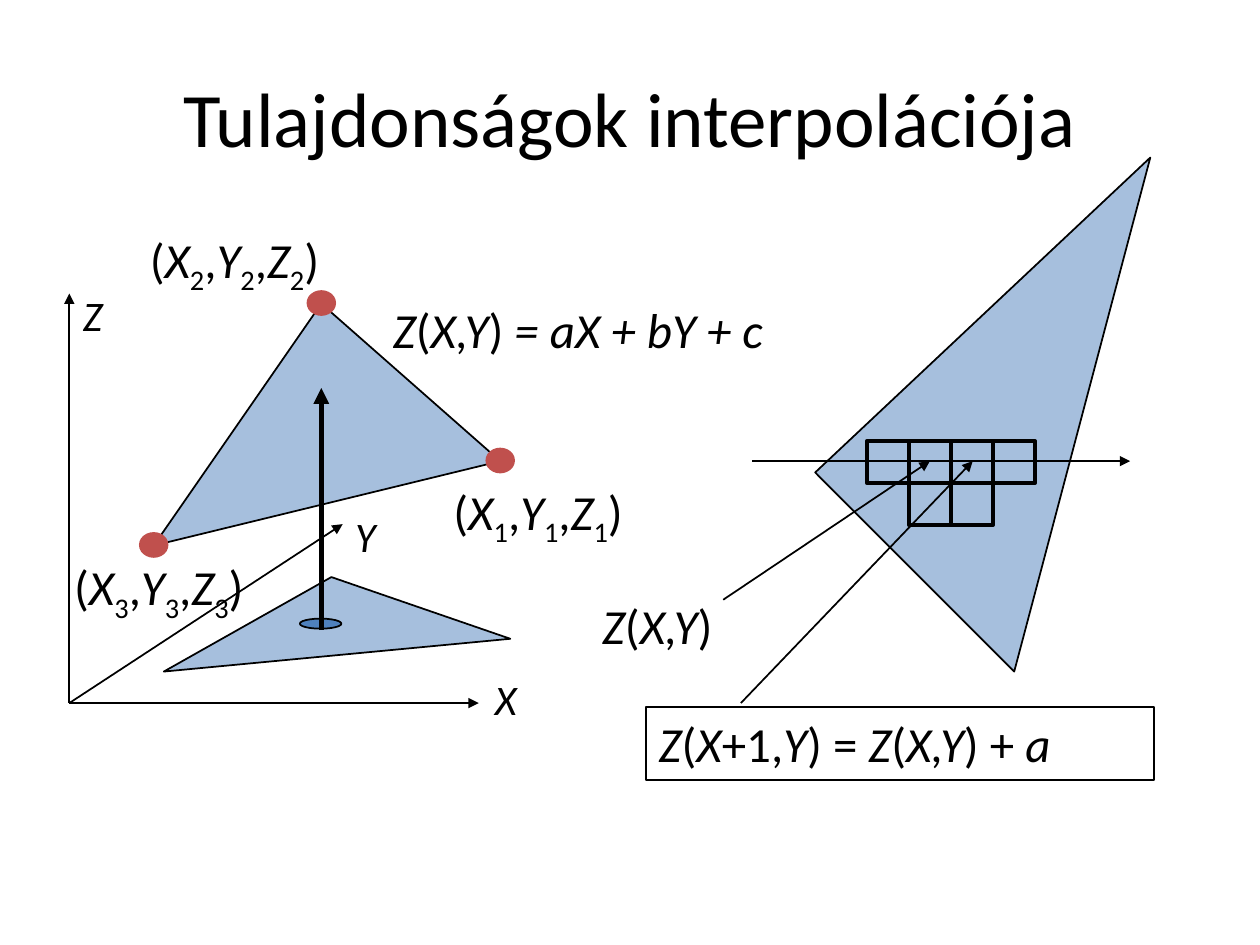
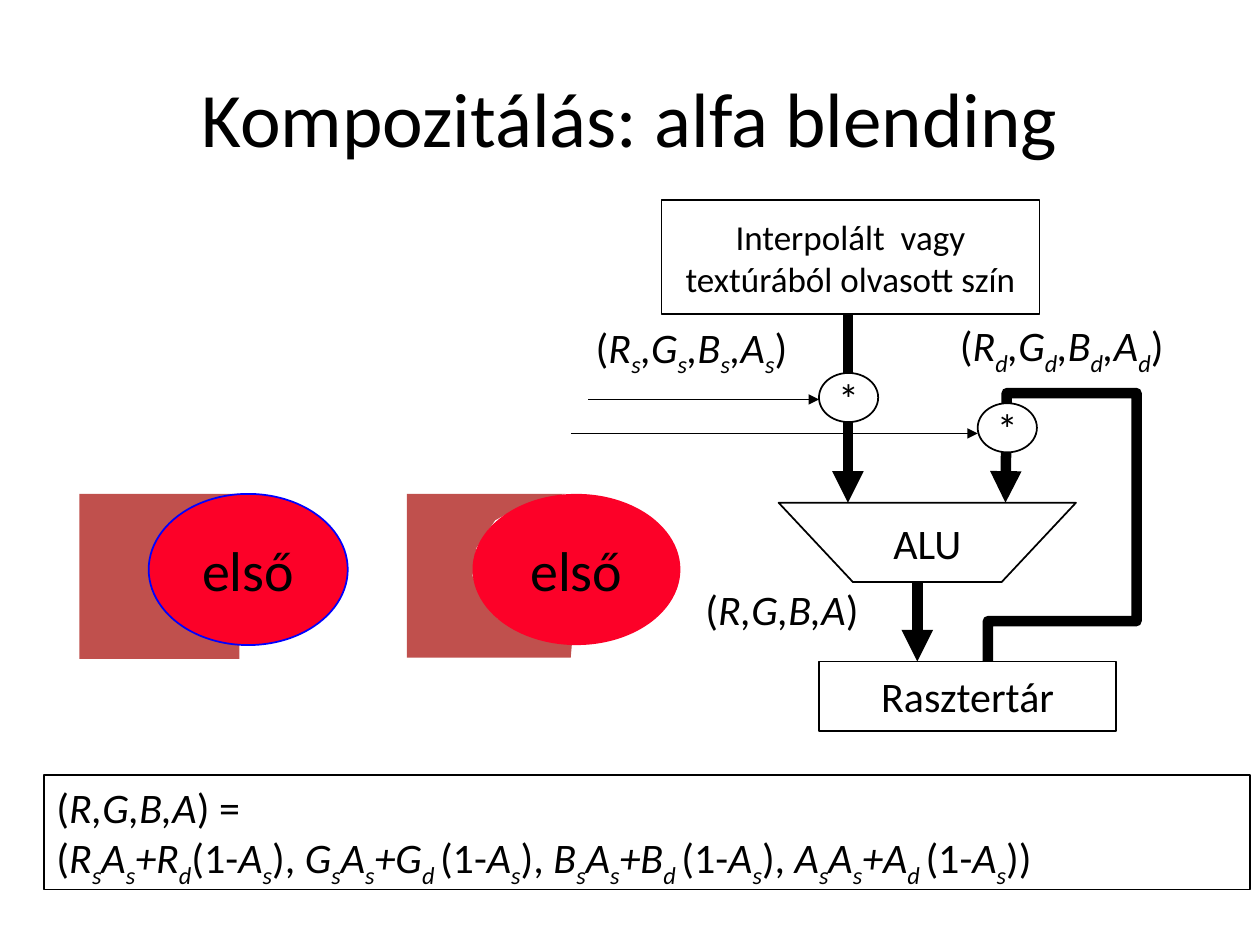
from dataclasses import dataclass
from typing import NamedTuple, Optional

from lxml import etree
from pptx import Presentation
from pptx import util as u
from pptx.dml.color import RGBColor
from pptx.enum import shapes, text
from pptx.oxml.ns import qn

KIND = shapes.MSO_SHAPE
ALIGN = text.PP_ALIGN
ANCHOR = text.MSO_ANCHOR


@dataclass(frozen=True)
class Theme:
    font: str = "Calibri"
    ink: str = "000000"
    paper: str = "FFFFFF"
    blue: str = "4F81BD"
    brick: str = "C0504D"
    red: str = "FC0128"
    edge: str = "0000FF"
    title: int = 44
    big: int = 32
    math: int = 28
    body: int = 24
    small: int = 20
    thin: float = 1
    cell: float = 2.25
    ray: float = 3
    bus: float = 6


T = Theme()


class Box(NamedTuple):
    left: float
    top: float
    width: float
    height: float


class Label(NamedTuple):
    box: Box
    body: str
    size: int


class Arrow(NamedTuple):
    start: tuple
    end: tuple
    width: float = T.thin


class Node(NamedTuple):
    kind: int
    box: Box
    body: str = ""
    size: int = T.body
    fill: Optional[str] = None
    line: Optional[str] = T.ink


# Text: "/" switches italics, "_" switches subscript
def write(shape, body: str, size: int = T.body, align=ALIGN.LEFT,
          anchor=ANCHOR.TOP, wrap: bool = False, grow: bool = False) -> None:
    frame = shape.text_frame
    frame.word_wrap = wrap
    frame.vertical_anchor = anchor
    if grow:
        frame.auto_size = text.MSO_AUTO_SIZE.SHAPE_TO_FIT_TEXT
    for num, row in enumerate(body.split("\n")):
        para = frame.add_paragraph() if num else frame.paragraphs[0]
        para.alignment = align
        for i, slant in enumerate(row.split("/")):
            for j, part in enumerate(slant.split("_")):
                if not part:
                    continue
                run = para.add_run()
                run.text = part
                font = run.font
                font.name, font.size = T.font, u.Pt(size)
                font.italic = i % 2 == 1
                font.color.rgb = RGBColor.from_string(T.ink)
                if j % 2:
                    run._r.get_or_add_rPr().set("baseline", "-25000")


def paint(shape, fill: Optional[str] = None, line: Optional[str] = T.ink,
          width: float = T.thin, alpha: int = 100) -> None:
    shape.shadow.inherit = False
    if fill:
        shape.fill.solid()
        shape.fill.fore_color.rgb = RGBColor.from_string(fill)
        if alpha < 100:
            tint = shape._element.spPr.find(qn("a:solidFill"))[0]
            etree.SubElement(tint, qn("a:alpha"), val=str(alpha * 1000))
    else:
        shape.fill.background()
    if line:
        stroke(shape, line, width)
    else:
        shape.line.fill.background()


def stroke(shape, color: str, width: float) -> None:
    shape.line.color.rgb = RGBColor.from_string(color)
    shape.line.width = u.Pt(width)


def point(shape) -> None:
    etree.SubElement(shape.line._get_or_add_ln(), qn("a:tailEnd"), type="triangle")


def place(box: Box) -> list:
    return [u.Inches(v) for v in box]


def label(slide, item: Label) -> None:
    write(slide.shapes.add_textbox(*place(item.box)), item.body, item.size, grow=True)


def node(slide, item: Node, width: float = T.thin, **form):
    shape = slide.shapes.add_shape(item.kind, *place(item.box))
    paint(shape, item.fill, item.line, width)
    if item.body:
        form = form or dict(align=ALIGN.CENTER, anchor=ANCHOR.MIDDLE)
        write(shape, item.body, item.size, **form)
    return shape


def arrow(slide, item: Arrow) -> None:
    ends = [u.Inches(v) for v in (*item.start, *item.end)]
    line = slide.shapes.add_connector(shapes.MSO_CONNECTOR.STRAIGHT, *ends)
    stroke(line, T.ink, item.width)
    point(line)
    etree.SubElement(line._element.spPr, qn("a:effectLst"))


def outline(slide, spots: list, close: bool = True, **look):
    dots = [(u.Inches(x), u.Inches(y)) for x, y in spots]
    pen = slide.shapes.build_freeform(*dots[0])
    pen.add_line_segments(dots[1:], close=close)
    shape = pen.convert_to_shape()
    paint(shape, **look)
    return shape


def start(deck, title: str):
    slide = deck.slides.add_slide(deck.slide_layouts[6])
    head = slide.shapes.add_textbox(*place(Box(0.5, 0.3, 9, 1.25)))
    write(head, title, T.title, ALIGN.CENTER, ANCHOR.MIDDLE, wrap=True)
    return slide


def interp(deck) -> None:
    slide = start(deck, "Tulajdonságok interpolációja")
    glass = dict(fill=T.blue, alpha=50)

    # Axes with their names
    origin = (0.55, 5.58)
    for end in ((3.8, 5.58), (2.72, 4.16), (0.55, 2.33)):
        arrow(slide, Arrow(origin, end))
    corners = [(1.22, 4.33), (3.97, 3.66), (2.55, 2.41)]
    outline(slide, corners, **glass)
    outline(slide, [(1.3, 5.33), (4.05, 5.07), (2.63, 4.58)], **glass)
    for name, x, y in (("X", 3.83, 5.3), ("Y", 2.72, 4), ("Z", 0.56, 2.25)):
        label(slide, Label(Box(x, y, 0.39, 0.5), f"/{name}/", T.body))

    # Lifting a ground point to the plane
    node(slide, Node(KIND.OVAL, Box(2.38, 4.91, 0.33, 0.08), fill=T.blue))
    arrow(slide, Arrow((2.55, 5), (2.55, 3.08), T.ray))
    label(slide, Label(Box(3.02, 2.33, 3.62, 0.57),
                       "/Z/(/X,Y/)/ = aX + bY + c/", T.math))

    # Scanned triangle and its pixels
    outline(slide, [(8.05, 5.33), (6.47, 3.75), (9.13, 1.25)], **glass)
    side = 1 / 3
    for row, cols in enumerate((range(4), range(1, 3))):
        for col in cols:
            box = Box(6.88 + col * side, 3.5 + row * side, side, side)
            node(slide, Node(KIND.RECTANGLE, box), T.cell)
    label(slide, Label(Box(4.68, 4.68, 1.23, 0.57), "/Z/(/X,Y/)", T.math))
    for item in (Arrow((5.74, 4.76), (7.38, 3.66)),
                 Arrow((5.97, 3.66), (8.97, 3.66)),
                 Arrow((5.88, 5.58), (7.72, 3.66))):
        arrow(slide, item)
    node(slide, Node(KIND.RECTANGLE, Box(5.13, 5.61, 4.03, 0.58),
                     "/Z/(/X/+1,/Y/) = /Z/(/X,Y/) + /a/", T.math),
         wrap=True, grow=True)

    # Corner dots and coordinates
    for x, y in corners:
        box = Box(x - 0.11, y - 0.1, 0.22, 0.19)
        node(slide, Node(KIND.OVAL, box, fill=T.brick, line=T.brick))
    for num, x, y in ((1, 3.5, 3.77), (2, 1.09, 1.77), (3, 0.49, 4.37)):
        body = "(" + ",".join(f"/{axis}/_{num}_" for axis in "XYZ") + ")"
        label(slide, Label(Box(x, y, 1.72, 0.57), body, T.math))


def blend(deck) -> None:
    slide = start(deck, "Kompozitálás: alfa blending")

    # Colour source, frame buffer and arithmetic unit
    node(slide, Node(KIND.RECTANGLE, Box(5.25, 1.59, 3, 0.9),
                     "Interpolált  vagy\ntextúrából olvasott szín", T.small))
    node(slide, Node(KIND.RECTANGLE, Box(6.5, 5.25, 2.36, 0.55), "Rasztertár"))
    unit = outline(slide, [(6.18, 3.99), (6.77, 4.62), (7.95, 4.62), (8.54, 3.99)])
    write(unit, "ALU", align=ALIGN.CENTER, anchor=ANCHOR.MIDDLE)

    # Data buses
    arrow(slide, Arrow((6.73, 2.49), (6.73, 3.99), T.bus))
    arrow(slide, Arrow((7.28, 4.62), (7.28, 5.25), T.bus))
    loop = [(7.84, 5.25), (7.84, 4.93), (9.02, 4.93), (9.02, 3.12),
            (7.99, 3.12), (7.98, 3.99)]
    point(outline(slide, loop, close=False, width=T.bus))

    # Colour names
    for key, x, y, width in (("s", 4.63, 2.5, 1.87), ("d", 7.52, 2.49, 1.97)):
        body = "(/" + ",".join(f"{part}_{key}_" for part in "RGBA") + "/)"
        label(slide, Label(Box(x, y, width, 0.5), body, T.body))
    label(slide, Label(Box(5.5, 4.58, 1.52, 0.5), "(/R,G,B,A/)", T.body))

    # Blending formula
    terms = []
    for part in "RGBA":
        gap = "" if part == "R" else " "
        terms.append(f"/{part}_s_A_s_+{part}_d{gap}_/(1-/A_s_/)")
    node(slide, Node(KIND.RECTANGLE, Box(0.35, 6.15, 9.57, 0.91),
                     "(/R,G,B,A/) =\n(" + ", ".join(terms) + ")"),
         wrap=True, grow=True)

    # Multipliers and their weights
    arrow(slide, Arrow((4.67, 3.17), (6.5, 3.17)))
    arrow(slide, Arrow((4.53, 3.44), (7.76, 3.44)))
    for x, y in ((6.5, 2.96), (7.76, 3.2)):
        node(slide, Node(KIND.OVAL, Box(x, y, 0.47, 0.39), "*", fill=T.paper))

    # Overlapping figures
    node(slide, Node(KIND.RECTANGLE, Box(0.63, 3.92, 1.27, 1.31),
                     fill=T.brick, line=None))
    node(slide, Node(KIND.OVAL, Box(1.18, 3.92, 1.58, 1.2), "első", T.big,
                     T.red, T.edge))
    rest = [(4.49, 3.92), (3.23, 3.92), (3.23, 5.22), (4.53, 5.22), (4.54, 5.1),
            (4.3, 5.08), (4.14, 5.02), (3.95, 4.91), (3.82, 4.74), (3.75, 4.57),
            (3.78, 4.35), (3.93, 4.13), (4.11, 4.03), (4.3, 3.96)]
    outline(slide, rest, fill=T.brick, line=None)
    node(slide, Node(KIND.OVAL, Box(3.75, 3.92, 1.65, 1.2), "első", T.big,
                     T.red, None))


def main() -> None:
    deck = Presentation()
    deck.slide_width, deck.slide_height = u.Inches(10), u.Inches(7.5)
    interp(deck)
    blend(deck)
    deck.save("out.pptx")


if __name__ == "__main__":
    main()
